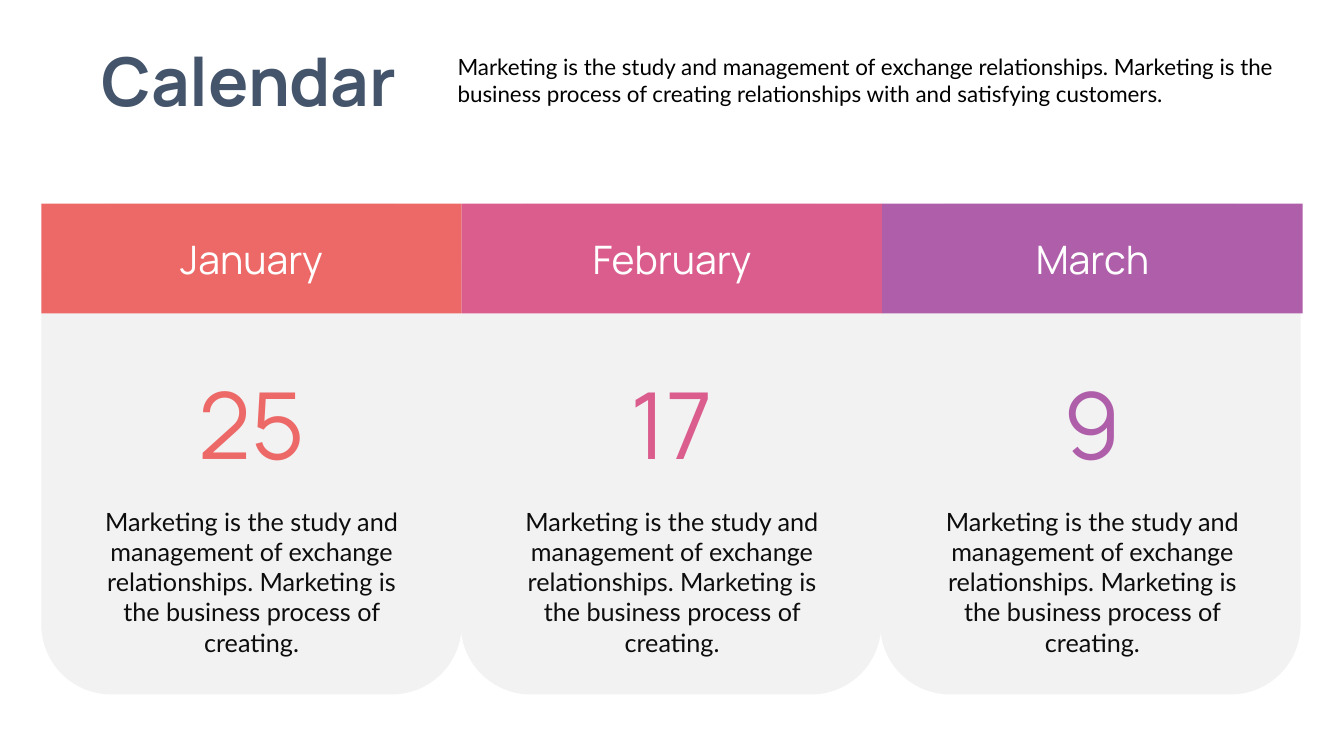
from pptx import Presentation
from pptx.dml.color import RGBColor
from pptx.enum.shapes import MSO_SHAPE as Preset
from pptx.enum.text import MSO_ANCHOR as Anchor, MSO_AUTO_SIZE as AutoSize, PP_ALIGN as Align
from pptx.util import Inches, Pt

COLORS = {
    "title": "44546A",
    "intro": "000000",
    "body": "0D0D0D",
    "panel": "F2F2F2",
    "white": "FFFFFF",
    "coral": "EC6968",
    "pink": "DA5D8D",
    "purple": "AF5FAA",
}
INTRO = (
    "Marketing is the study and management of exchange relationships. "
    "Marketing is the business process of creating relationships with and satisfying customers."
)
DETAIL = (
    "Marketing is the study and management of exchange relationships. "
    "Marketing is the business process of creating."
)
MONTHS = [("January", "25", "coral"), ("February", "17", "pink"), ("March", "9", "purple")]
LEFT, TOP = 0.41, 2.02
COLUMN_WIDTH, PANEL_STEP = 4.17, 4.16


def color(name):
    return RGBColor.from_string(COLORS[name])


def write(shape, text, font, size, color_name, align=Align.CENTER, anchor=Anchor.TOP,
          bold=False, line_spacing=None, **frame_format):
    frame = shape.text_frame
    frame_format = {"word_wrap": True, "auto_size": AutoSize.NONE,
                    "vertical_anchor": anchor, **frame_format}
    for name, value in frame_format.items():
        setattr(frame, name, value)
    paragraph = frame.paragraphs[0]
    paragraph.text = text
    paragraph.alignment = align
    paragraph.line_spacing = line_spacing
    for name, value in {"name": font, "size": Pt(size), "bold": bold}.items():
        setattr(paragraph.font, name, value)
    paragraph.font.color.rgb = color(color_name)


def add_block(slide, preset, box, fill):
    shape = slide.shapes.add_shape(preset, *map(Inches, box))
    shape.shadow.inherit = False
    shape.fill.solid()
    shape.fill.fore_color.rgb = color(fill)
    shape.line.fill.background()
    return shape


def add_text(slide, box, *args, **formats):
    write(slide.shapes.add_textbox(*map(Inches, box)), *args, **formats)


def add_title(slide, text):
    title = slide.shapes.title
    box = {"left": 0.75, "top": 0.34, "width": 3.44, "height": 0.91}
    for name, value in box.items():
        setattr(title, name, Inches(value))
    write(title, text, "Manrope", 48, "title", bold=True, word_wrap=False)


def add_month(slide, index, month, day, accent):
    left = LEFT + index * COLUMN_WIDTH
    header = add_block(slide, Preset.RECTANGLE, (left, TOP, COLUMN_WIDTH, 1.09), accent)
    write(header, month, "Manrope", 28, "white", anchor=Anchor.MIDDLE)
    no_margins = dict.fromkeys(("margin_left", "margin_top", "margin_right", "margin_bottom"), 0)
    add_text(slide, (left + 0.9, 3.75, 2.37, 1.03), day, "Manrope", 66, accent,
             anchor=Anchor.MIDDLE, line_spacing=0.9, **no_margins)
    detail = add_block(slide, Preset.RECTANGLE, (left + 0.51, 4.97, 3.15, 1.62), "panel")
    write(detail, DETAIL, "Lato", 18, "body")


def main():
    presentation = Presentation()
    presentation.slide_width = Inches(13.33)
    presentation.slide_height = Inches(7.5)
    slide = presentation.slides.add_slide(presentation.slide_layouts[5])
    add_title(slide, "Calendar")
    add_text(slide, (4.44, 0.48, 8.64, 0.64), INTRO, "Lato", 16, "intro", align=Align.LEFT)
    for index in range(len(MONTHS)):
        panel_box = (LEFT + index * PANEL_STEP, TOP, COLUMN_WIDTH, 4.87)
        add_block(slide, Preset.ROUNDED_RECTANGLE, panel_box, "panel")
    for index, month in enumerate(MONTHS):
        add_month(slide, index, *month)
    presentation.save("out.pptx")


if __name__ == "__main__":
    main()
